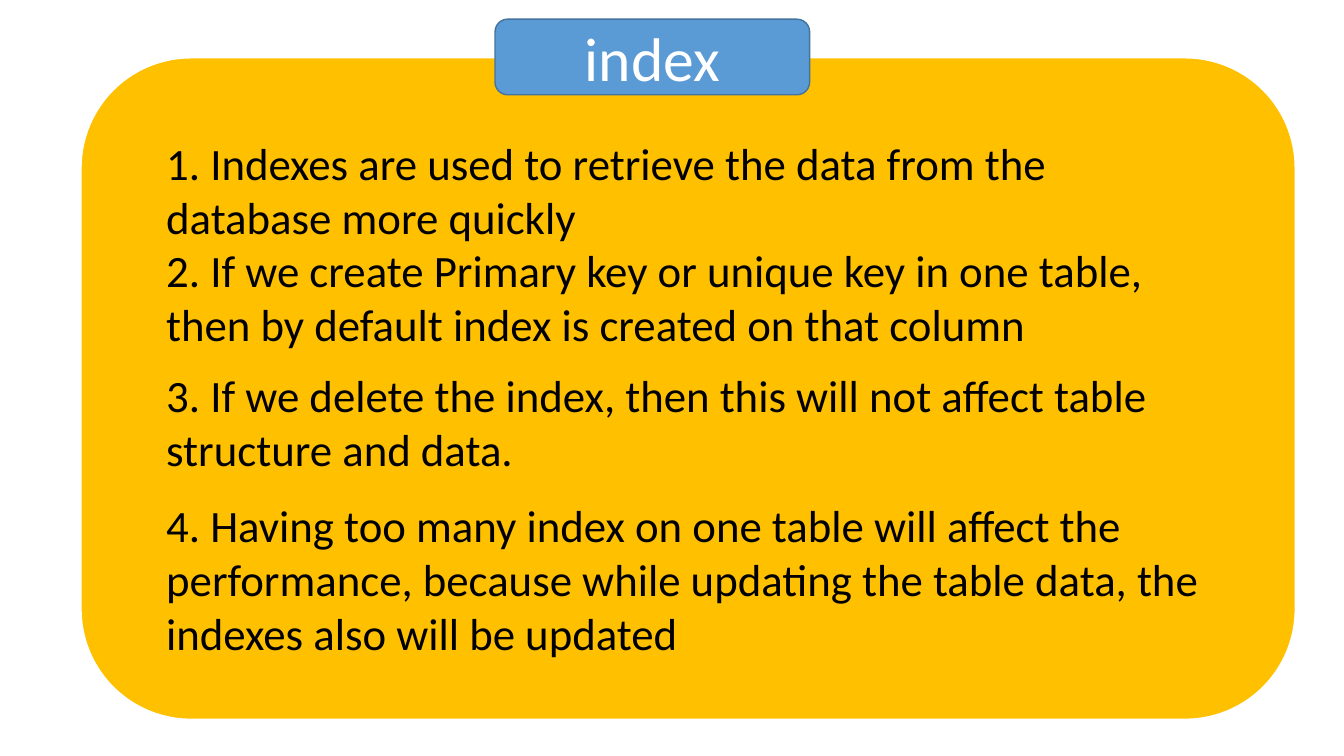
"""Build the slide that lists four facts about an index."""
from pptx import Presentation
from pptx.dml.color import RGBColor
from pptx.enum.shapes import MSO_SHAPE as Shape
from pptx.enum.text import MSO_ANCHOR as Anchor, MSO_AUTO_SIZE as Auto, PP_ALIGN as Align
from pptx.util import Inches, Pt


def paint(color, code):
    color.rgb = RGBColor.from_string(code)


def style(par, size, code):
    par.font.name = "Calibri"
    par.font.size = Pt(size)
    paint(par.font.color, code)


deck = Presentation()
deck.slide_width, deck.slide_height = Inches(13.33), Inches(7.5)
slide = deck.slides.add_slide(deck.slide_layouts[5])
shapes = slide.shapes
title = shapes.title

badge_box = [Inches(n) for n in (4.91, 0.19, 3.12, 0.75)]
panel_box = [Inches(n) for n in (0.8, 0.57, 12.05, 6.57)]
plates = [
    (panel_box, "FFC000", "FFFFFF", 1.5),
    (badge_box, "5B9BD5", "43739E", 1),
]
for box, fill, line, width in plates:
    plate = shapes.add_shape(Shape.ROUNDED_RECTANGLE, *box)
    plate.shadow.inherit = False
    plate.fill.solid()
    paint(plate.fill.fore_color, fill)
    paint(plate.line.color, line)
    plate.line.width = Pt(width)
    title._element.addprevious(plate._element)

title.left, title.top, title.width, title.height = badge_box
title.text = "index"
frame = title.text_frame
frame.auto_size = Auto.NONE
frame.vertical_anchor = Anchor.MIDDLE
head = frame.paragraphs[0]
head.alignment = Align.CENTER
style(head, 44, "FFFFFF")

facts = [
    (1.3, 10.64, 1.18, "1. Indexes are used to retrieve the data from the database more quickly"),
    (2.36, 10.11, 1.18, "2. If we create Primary key or unique key in one table, "
     "then by default index is created on that column"),
    (3.6, 10.11, 1.18, "3. If we delete the index, then this will not affect table structure and data."),
    (4.89, 10.76, 1.72, "4. Having too many index on one table will affect the performance, "
     "because while updating the table data, the indexes also will be updated"),
]
for top, width, height, text in facts:
    note = shapes.add_textbox(Inches(1.55), Inches(top), Inches(width), Inches(height))
    note.text_frame.word_wrap = True
    note.text_frame.text = text
    style(note.text_frame.paragraphs[0], 32, "000000")

deck.save("out.pptx")
